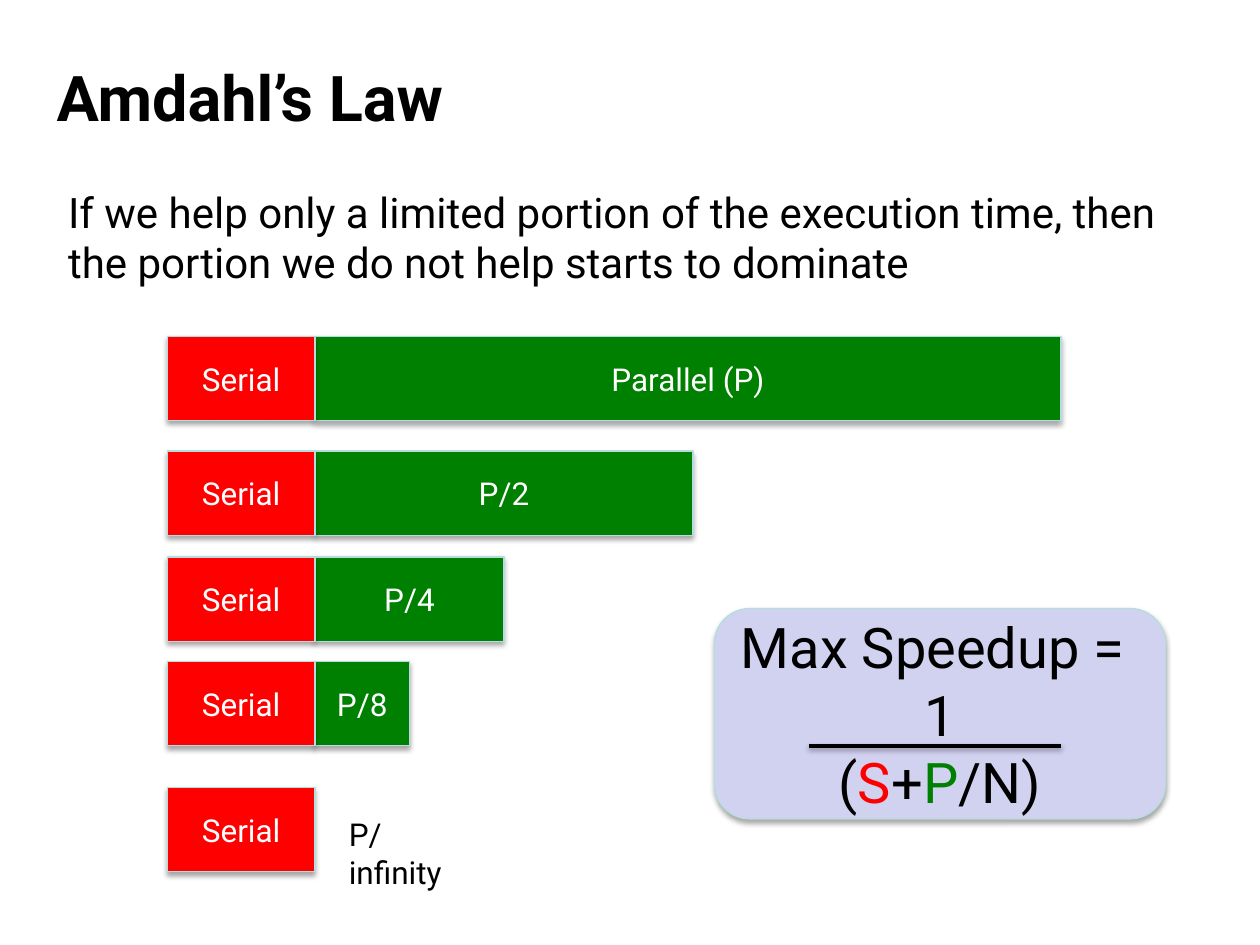
import pptx
import pptx.util
import pptx.dml.color
import pptx.enum.shapes
import pptx.enum.text
import pptx.oxml
import pptx.oxml.ns

Inches = pptx.util.Inches
Pt = pptx.util.Pt
kinds = pptx.enum.shapes.MSO_SHAPE
mid = pptx.enum.text.MSO_ANCHOR.MIDDLE
center = pptx.enum.text.PP_ALIGN.CENTER
left = pptx.enum.text.PP_ALIGN.LEFT
color = pptx.dml.color.RGBColor.from_string
space = pptx.oxml.ns.nsdecls("a")


def style(frame, size, tint, align=left, bold=False):
    for para in frame.paragraphs:
        para.alignment = align
        for run in para.runs:
            run.font.name = "Roboto"
            run.font.size = Pt(size)
            run.font.bold = bold
            run.font.color.rgb = color(tint)


def finish(shape, line, width, alpha, dist, fill=None):
    if fill:
        shape.fill.solid()
        shape.fill.fore_color.rgb = color(fill)
    shape.line.color.rgb = color(line)
    shape.line.width = Pt(width)
    for old in shape._element.spPr.findall(pptx.oxml.ns.qn("a:effectLst")):
        shape._element.spPr.remove(old)
    shape._element.spPr.append(pptx.oxml.parse_xml(
        f'<a:effectLst {space}><a:outerShdw blurRad="{Pt(3.1)}" dist="{Pt(dist)}" '
        f'dir="5400000" rotWithShape="0"><a:srgbClr val="000000">'
        f'<a:alpha val="{alpha * 1000}"/></a:srgbClr></a:outerShdw></a:effectLst>'))


deck = pptx.Presentation()
deck.slide_width = Inches(10)
deck.slide_height = Inches(7.5)
slide = deck.slides.add_slide(deck.slide_layouts[1])

title = slide.shapes.title
title.left, title.top = Inches(0.35), Inches(0.35)
title.width, title.height = Inches(9), Inches(0.83)
title.text_frame.text = "Amdahl’s Law"
title.text_frame.vertical_anchor = mid
style(title.text_frame, 36, "000000", bold=True)

body = slide.placeholders[1]
body.left, body.top = Inches(0.44), Inches(1.43)
body.width, body.height = Inches(9.13), Inches(5.48)
body.text_frame.text = ("If we help only a limited portion of the execution time, "
                        "then the portion we do not help starts to dominate")
style(body.text_frame, 24, "000000")
props = body.text_frame.paragraphs[0]._p.get_or_add_pPr()
props.set("marL", "0")
props.set("indent", "0")
props.append(pptx.oxml.parse_xml(f"<a:buNone {space}/>"))

rows = [
    (2.67, "Parallel (P)", 5.92),
    (3.58, "P/2", 3),
    (4.42, "P/4", 1.5),
    (5.25, "P/8", 0.75),
    (6.25, None, 0),
]
for top, label, width in rows:
    bars = [(1.33, 1.17, "Serial", "FF0000")]
    if label:
        bars.insert(0, (2.5, width, label, "008000"))
    for x, wide, text, fill in bars:
        bar = slide.shapes.add_shape(kinds.RECTANGLE, Inches(x), Inches(top),
                                     Inches(wide), Inches(0.67))
        finish(bar, "B6DCDF", 0.75, 35, 1.8, fill)
        bar.text_frame.text = text
        bar.text_frame.vertical_anchor = mid
        style(bar.text_frame, 18, "FFFFFF", center)

limit = slide.shapes.add_textbox(Inches(2.67), Inches(6.42), Inches(1.16), Inches(0.4))
limit.text_frame.word_wrap = True
limit.text_frame.text = "P/infinity"
style(limit.text_frame, 18, "000000")

group = slide.shapes.add_group_shape()
panel = group.shapes.add_shape(kinds.ROUNDED_RECTANGLE, Inches(5.67), Inches(4.83),
                               Inches(3.58), Inches(1.67))
finish(panel, "B6DCDF", 0.75, 35, 1.8, "D1D1F0")
frame = panel.text_frame
frame.vertical_anchor = mid
frame.text = "Max Speedup = \n1\n"
for text in ["(", "S", "+", "P", "/N)"]:
    frame.paragraphs[2].add_run().text = text
style(frame, 32, "000000", center)
for spot, tint in [(1, "FF0000"), (3, "008000")]:
    frame.paragraphs[2].runs[spot].font.color.rgb = color(tint)

rule = group.shapes.add_connector(pptx.enum.shapes.MSO_CONNECTOR.STRAIGHT, Inches(6.42),
                                  Inches(5.92), Inches(8.42), Inches(5.92))
finish(rule, "000000", 2, 38, 1.6)

deck.save("out.pptx")
